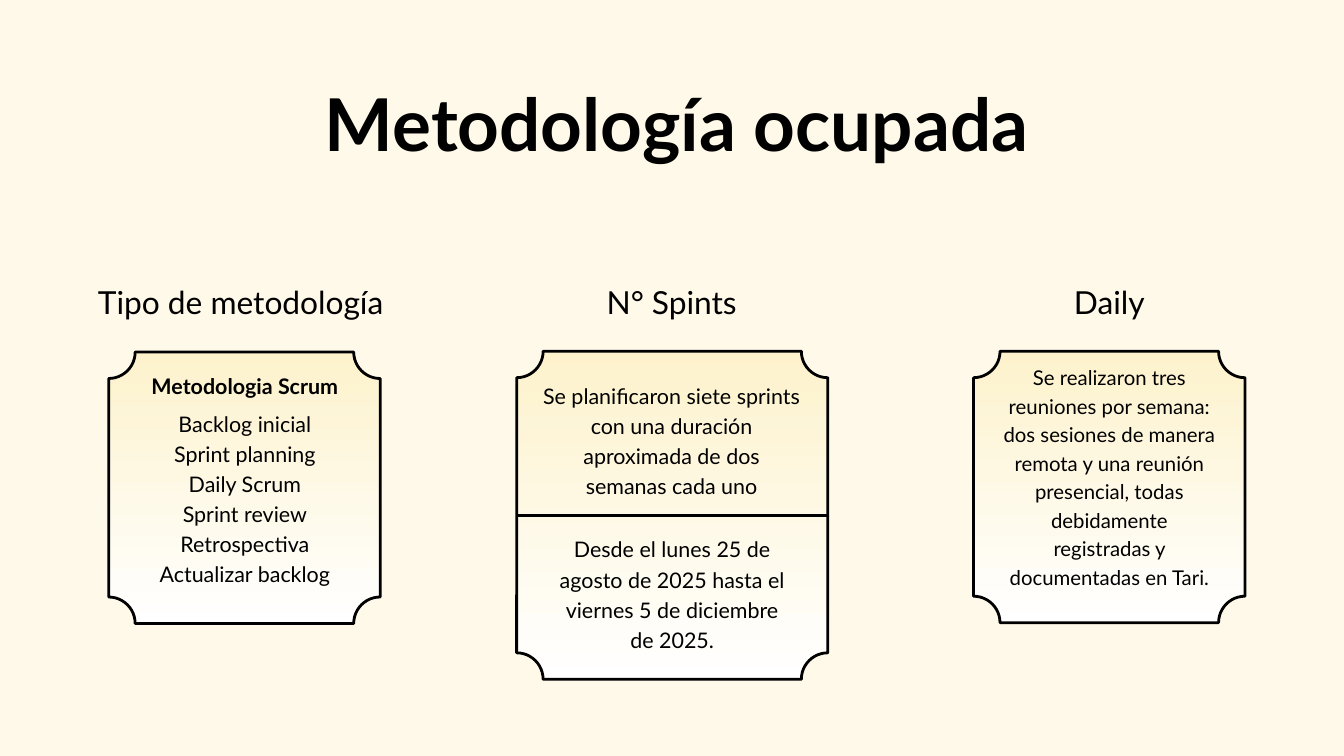
from pptx import Presentation
from pptx.dml.color import RGBColor
from pptx.enum.shapes import MSO_CONNECTOR, MSO_SHAPE
from pptx.enum.text import MSO_ANCHOR, PP_ALIGN
from pptx.oxml.ns import qn
from pptx.util import Cm, Pt
from lxml.etree import SubElement

CREAM = RGBColor(0xFF, 0xF9, 0xE9)
YELLOW = RGBColor(0xFD, 0xF2, 0xCC)
WHITE = RGBColor(0xFF, 0xFF, 0xFF)
BLACK = RGBColor(0, 0, 0)

NOTCH_RADIUS = 1.0
HEADING_TOP = 10.46

presentation = Presentation()
presentation.slide_width = Cm(50.8)
presentation.slide_height = Cm(28.58)
slide = presentation.slides.add_slide(presentation.slide_layouts[6])
slide.background.fill.solid()
slide.background.fill.fore_color.rgb = CREAM


def add_text(text, left, top, width, height, size=23, bold=False):
    """Add centred text, one paragraph for each line of the string."""
    box = slide.shapes.add_textbox(Cm(left), Cm(top), Cm(width), Cm(height))
    frame = box.text_frame
    frame.word_wrap = True
    frame.vertical_anchor = MSO_ANCHOR.TOP
    frame.margin_left = frame.margin_right = 0
    frame.margin_top = frame.margin_bottom = 0
    frame.text = text
    for paragraph in frame.paragraphs:
        paragraph.alignment = PP_ALIGN.CENTER
        paragraph.line_spacing = Pt(size * 1.4)
        paragraph.font.name = "Lato"
        paragraph.font.size = Pt(size)
        paragraph.font.bold = bold
        paragraph.font.color.rgb = BLACK


# Plaques with a vertical gradient
for left, top, width, height in [
    (4.11, 13.31, 10.26, 10.26),
    (19.53, 13.28, 11.76, 12.4),
    (36.8, 13.28, 10.26, 10.26),
]:
    plaque = slide.shapes.add_shape(
        MSO_SHAPE.PLAQUE, Cm(left), Cm(top), Cm(width), Cm(height))
    plaque.shadow.inherit = False
    plaque.adjustments[0] = NOTCH_RADIUS / min(width, height)
    plaque.fill.gradient()
    plaque.fill.gradient_angle = 270
    for stop, color, position in zip(
            plaque.fill.gradient_stops, (YELLOW, WHITE), (0, 1)):
        stop.color.rgb = color
        stop.position = position
    plaque.line.color.rgb = BLACK
    plaque.line.width = Pt(3)

# Title and column headings
add_text("Metodología ocupada", 10.06, 2.44, 31.04, 3.71, size=78, bold=True)
for heading, left, width in [
    ("Tipo de metodología", 3.2, 11.8),
    ("N° Spints", 22.81, 5.16),
    ("Daily", 40.56, 2.74),
]:
    add_text(heading, left, HEADING_TOP, width, 1.6, size=34)

# Type of methodology
add_text("Metodologia Scrum", 4.98, 13.94, 8.56, 1.09, bold=True)
add_text(
    "Backlog inicial\nSprint planning\nDaily Scrum\n"
    "Sprint review\nRetrospectiva\nActualizar backlog",
    4.98, 15.37, 8.56, 6.63)

# Number of sprints, with a divider between count and dates
add_text(
    "Se planificaron siete sprints con una duración aproximada "
    "de dos semanas cada uno",
    20.45, 14.3, 9.88, 4.42)
add_text(
    "Desde el lunes 25 de agosto de 2025 hasta el viernes 5 de diciembre "
    "de 2025.",
    21.13, 20.12, 8.56, 4.42)
divider = slide.shapes.add_connector(
    MSO_CONNECTOR.STRAIGHT, Cm(19.53), Cm(19.48), Cm(31.29), Cm(19.48))
divider.line.color.rgb = BLACK
divider.line.width = Pt(3)
SubElement(divider.element.spPr, qn("a:effectLst"))

# Daily meetings
add_text(
    "Se realizaron tres reuniones por semana: dos sesiones de manera remota "
    "y una reunión presencial, todas debidamente registradas y documentadas "
    "en Tari.",
    37.87, 13.67, 8.13, 9.45, size=21.8)

presentation.save("out.pptx")
